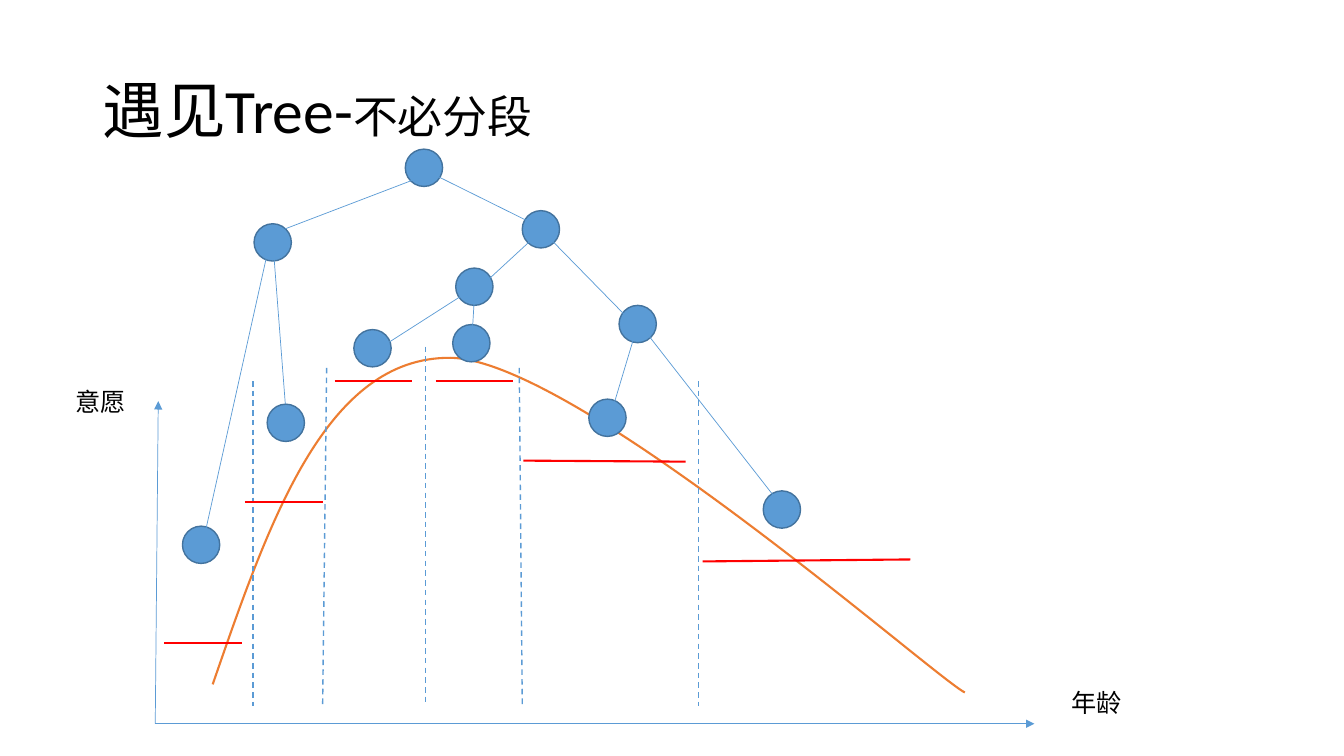
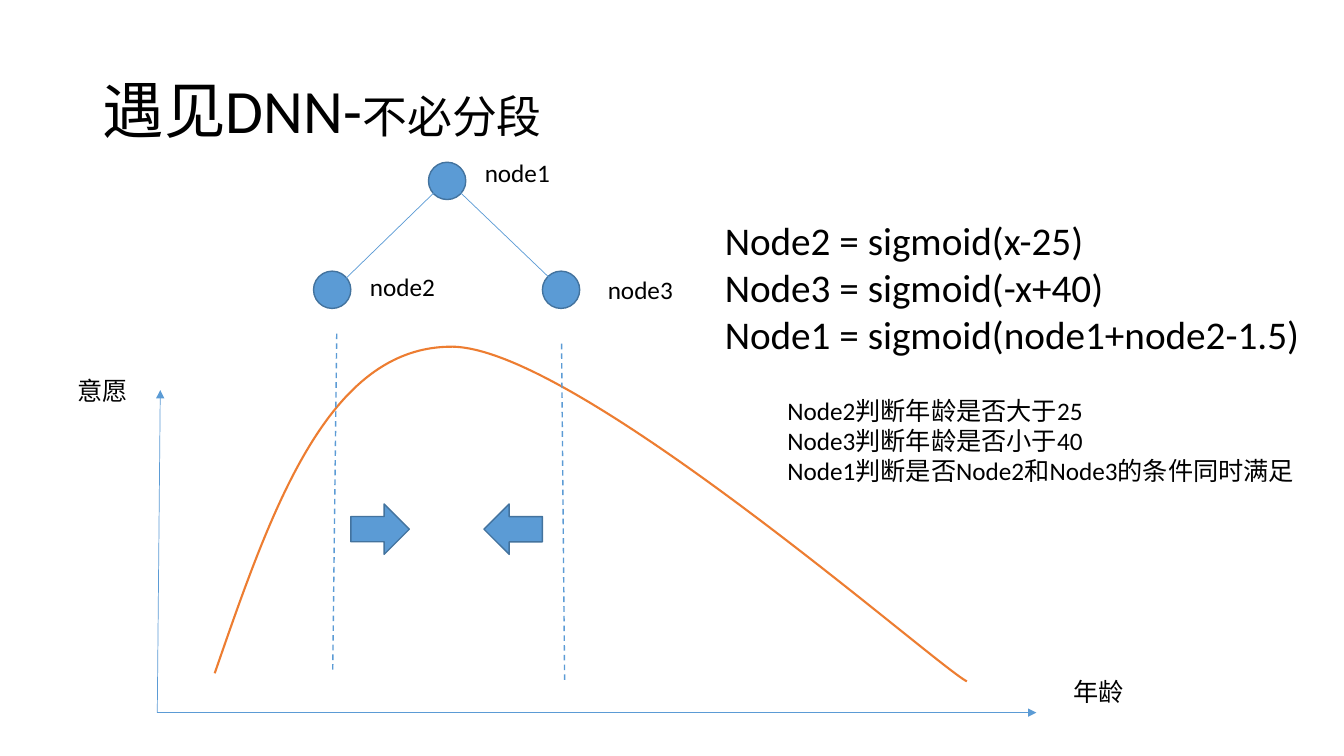
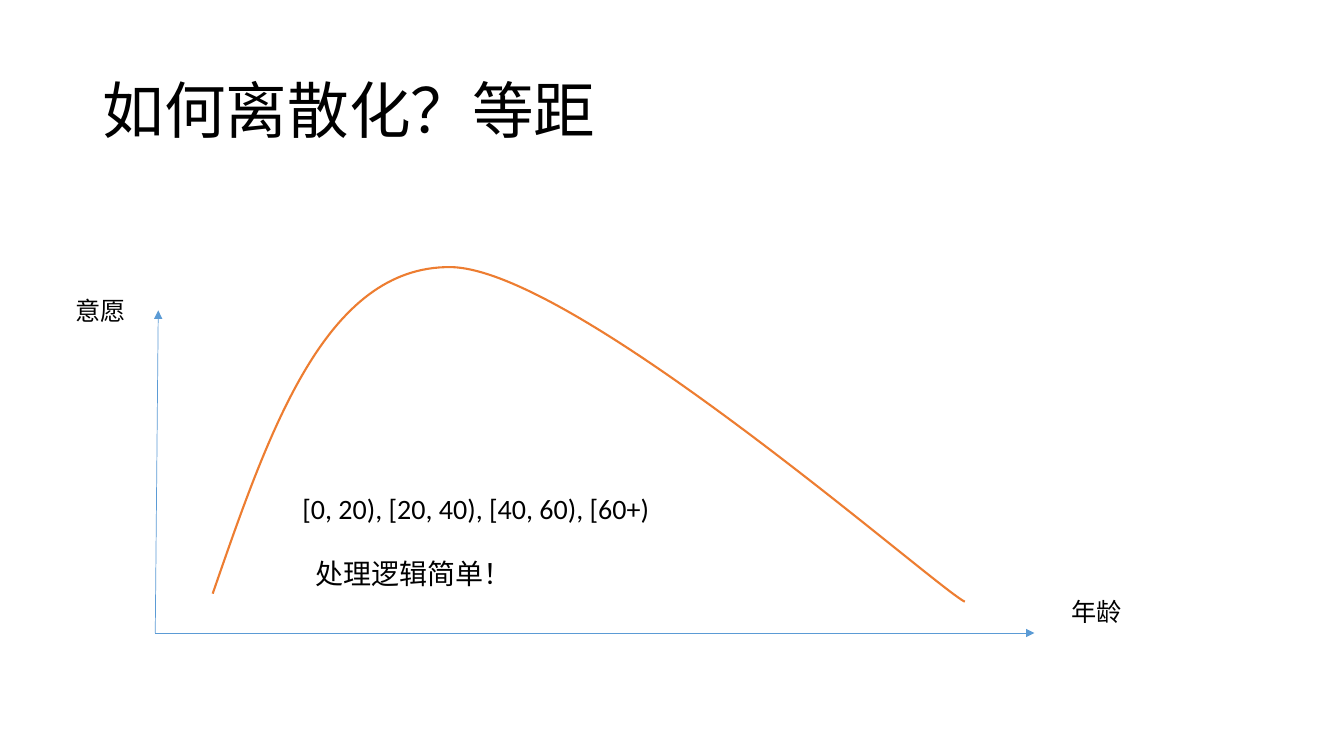
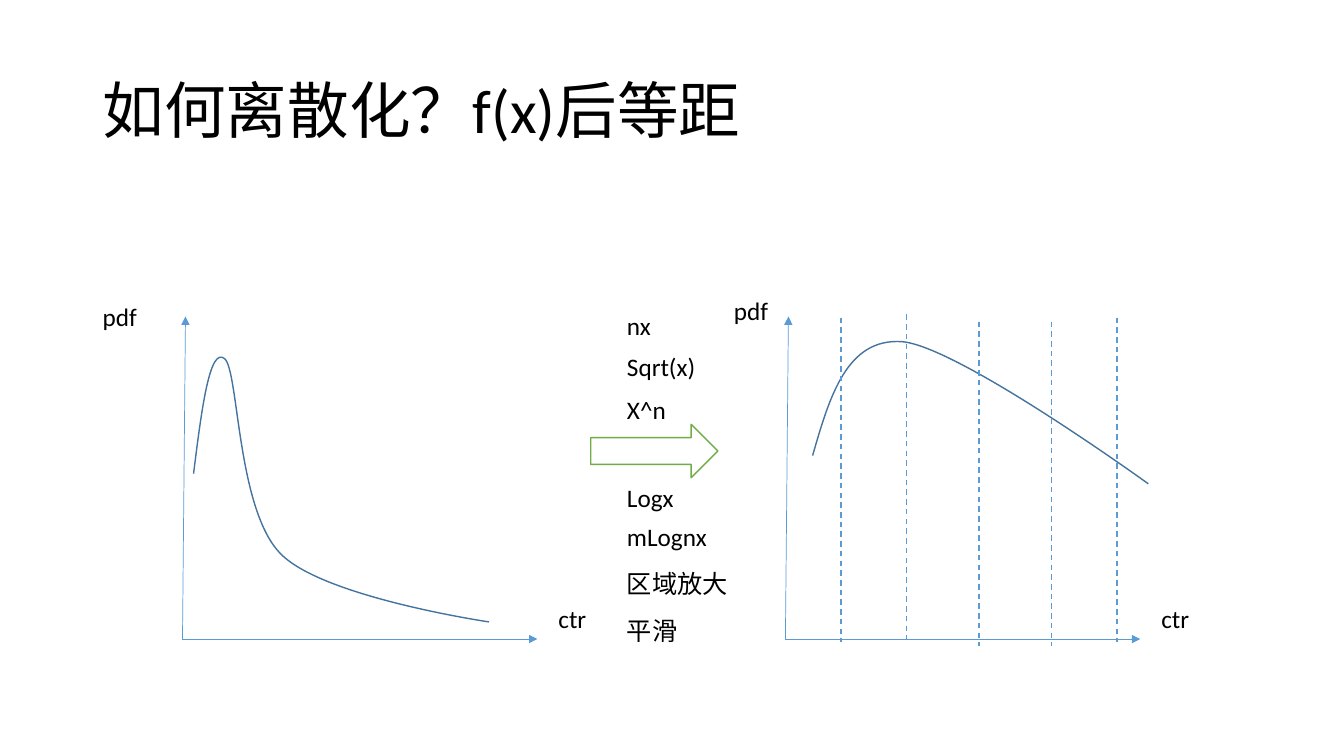
from lxml import etree
from pptx import Presentation
from pptx.dml.color import RGBColor
from pptx.enum.dml import MSO_LINE
from pptx.enum.shapes import MSO_CONNECTOR, MSO_SHAPE
from pptx.enum.text import MSO_ANCHOR
from pptx.oxml.ns import qn
from pptx.util import Inches, Pt

DASH = MSO_LINE.DASH
STRAIGHT = MSO_CONNECTOR.STRAIGHT
OVAL = MSO_SHAPE.OVAL
ARROW = MSO_SHAPE.RIGHT_ARROW
MIDDLE = MSO_ANCHOR.MIDDLE

COLORS = {
    "text": "000000",
    "blue": "5B9BD5",
    "edge": "43739E",
    "curve": "ED7D31",
    "step": "FF0000",
    "green": "70AD47",
    "white": "FFFFFF",
}
FONT = "Calibri"
DOT = 0.37
HILL = [(0.57, -0.39), (1.13, -2.01), (1.69, -3.64), (2.93, -3.63),
        (4.17, -3.61), (7.73, -0.46), (8.03, -0.31)]
PEAK = [(1.92, 4.7), (2, 4.06), (2.08, 3.43), (2.23, 3.56), (2.37, 3.69),
        (2.35, 5.07), (2.79, 5.5), (3.22, 5.93), (4.85, 6.17), (4.85, 6.17)]
FLAT = [(8.06, 4.52), (8.23, 3.93), (8.4, 3.35), (8.95, 3.39),
        (9.51, 3.44), (11.39, 4.8), (11.39, 4.8)]


def color(name):
    return RGBColor.from_string(COLORS[name])


class Deck:
    def __init__(self):
        self.prs = Presentation()
        self.prs.slide_width = Inches(13.33)
        self.prs.slide_height = Inches(7.5)
        self.slide = None

    def page(self, *runs):
        self.slide = self.prs.slides.add_slide(self.prs.slide_layouts[6])
        box = self.slide.shapes.add_textbox(
            Inches(0.92), Inches(0.4), Inches(11.5), Inches(1.45))
        frame = box.text_frame
        frame.word_wrap = True
        frame.vertical_anchor = MIDDLE
        para = frame.paragraphs[0]
        para.line_spacing = 0.9
        for text, size in runs:
            run = para.add_run()
            run.text = text
            self.style(run.font, size)

    def style(self, font, size):
        font.name = FONT
        font.size = Pt(size)
        font.color.rgb = color("text")

    def label(self, x, y, width, text, size=18, wrap=False):
        lines = text.split("\n")
        height = 0.1 + len(lines) * size / 60
        box = self.slide.shapes.add_textbox(
            Inches(x), Inches(y), Inches(width), Inches(height))
        frame = box.text_frame
        frame.text = text
        frame.word_wrap = wrap
        for para in frame.paragraphs:
            for run in para.runs:
                self.style(run.font, size)

    def line(self, x1, y1, x2, y2, name="blue", width=0.5, dash=None, head=False):
        link = self.slide.shapes.add_connector(
            STRAIGHT, Inches(x1), Inches(y1), Inches(x2), Inches(y2))
        link.line.color.rgb = color(name)
        link.line.width = Pt(width)
        if dash:
            link.line.dash_style = dash
        props = link._element.spPr
        if head:
            tip = etree.SubElement(props.find(qn("a:ln")), qn("a:tailEnd"))
            tip.set("type", "triangle")
        etree.SubElement(props, qn("a:effectLst"))

    def split(self, *ends):
        self.line(*ends, width=1, dash=DASH)

    def shape(self, kind, x, y, width, height, fill="blue", edge="edge", turn=0):
        item = self.slide.shapes.add_shape(
            kind, Inches(x), Inches(y), Inches(width), Inches(height))
        item.shadow.inherit = False
        item.fill.solid()
        item.fill.fore_color.rgb = color(fill)
        item.line.color.rgb = color(edge)
        item.line.width = Pt(1)
        item.rotation = turn

    def tree(self, nodes, links):
        for x, y in nodes:
            self.shape(OVAL, x, y, DOT, DOT)
        for ends in links:
            self.line(*ends)

    def curve(self, knots, name, width):
        points = [(Inches(x), Inches(y)) for x, y in knots]
        form = self.slide.shapes.build_freeform(*points[0])
        form.add_line_segments(points[1:], close=False)
        item = form.convert_to_shape()
        item.shadow.inherit = False
        item.fill.background()
        item.line.color.rgb = color(name)
        item.line.width = Pt(width)
        parts = list(item._element.iter(qn("a:lnTo")))
        for i in range(0, len(parts), 3):
            bend, *rest = parts[i:i + 3]
            bend.tag = qn("a:cubicBezTo")
            for part in rest:
                bend.append(part[0])
                part.getparent().remove(part)

    def axes(self, x, y, width):
        self.line(x, y, x + width, y, head=True)
        self.line(x, y, x + 0.03, y - 3.2, head=True)

    def hill(self, x, y):
        self.curve([(x + dx, y + dy) for dx, dy in HILL], "curve", 1.5)
        self.axes(x, y, 8.72)
        self.label(x - 0.89, y - 3.4, 0.71, "意愿")
        self.label(x + 8.99, y - 0.41, 0.71, "年龄")

    def density(self, x, y, knots, left, top):
        self.axes(x, y, 3.52)
        self.label(left, top, 0.55, "pdf")
        self.label(x + 3.63, y - 0.4, 0.48, "ctr")
        self.curve(knots, "edge", 1)


def tree_page(deck):
    deck.page(("遇见Tree-", 44), ("不必分段", 32))
    deck.hill(1.54, 7.18)
    for ends in [(3.24, 3.65, 3.2, 7), (5.15, 3.65, 5.18, 7),
                 (2.51, 3.78, 2.51, 7), (4.22, 3.44, 4.22, 6.98),
                 (6.93, 3.78, 6.93, 7)]:
        deck.split(*ends)
    for ends in [(1.63, 6.38, 2.4, 6.38), (2.43, 4.98, 3.2, 4.98),
                 (3.32, 3.78, 4.09, 3.78), (4.32, 3.78, 5.09, 3.78),
                 (5.19, 4.57, 6.8, 4.58), (6.97, 5.57, 9.03, 5.55)]:
        deck.line(*ends, "step", 1.5)
    deck.tree(
        [(4.02, 1.48), (2.52, 2.22), (5.18, 2.09), (6.14, 3.03),
         (1.81, 5.22), (2.65, 4.01), (4.52, 2.66), (3.51, 3.27),
         (4.49, 3.22), (5.84, 3.96), (7.57, 4.87)],
        [(4.19, 1.75, 2.83, 2.27), (2.67, 2.43, 2, 5.44),
         (2.71, 2.45, 2.83, 4.01), (4.22, 1.69, 5.39, 2.27),
         (5.39, 2.27, 4.75, 2.86), (4.71, 2.85, 3.57, 3.58),
         (4.71, 2.87, 4.68, 3.37), (5.36, 2.27, 6.32, 3.25),
         (6.32, 3.24, 6.05, 4.14), (6.34, 3.21, 7.76, 5.03)])


def net_page(deck):
    deck.page(("遇见DNN-", 44), ("不必分段", 32))
    deck.hill(1.56, 7.07)
    deck.split(3.34, 3.31, 3.3, 6.66)
    deck.split(5.57, 3.41, 5.6, 6.76)
    deck.tree([(3.11, 2.69), (5.38, 2.69), (4.25, 1.61)],
              [(4.43, 1.79, 3.34, 2.85), (4.43, 1.78, 5.6, 2.9)])
    for name, x, y in [("node1", 4.71, 1.51), ("node2", 3.57, 2.64),
                       ("node3", 5.93, 2.67)]:
        deck.label(x, y, 0.86, name)
    deck.label(7.09, 2.1, 5.97,
               "Node2 = sigmoid(x-25)\nNode3 = sigmoid(-x+40)\n"
               "Node1 = sigmoid(node1+node2-1.5)", 28)
    deck.label(7.71, 3.87, 5.62,
               "Node2判断年龄是否大于25\nNode3判断年龄是否小于40\n"
               "Node1判断是否Node2和Node3的条件同时满足", wrap=True)
    for x, turn in [(3.48, 0), (4.8, 180)]:
        deck.shape(ARROW, x, 5, 0.58, 0.5, turn=turn)


def equal_page(deck):
    deck.page(("如何离散化？等距", 44))
    deck.hill(1.54, 6.28)
    deck.label(2.9, 4.83, 3.67, "[0, 20), [20, 40), [40, 60), [60+)", 20)
    deck.label(3.03, 5.47, 2.17, "处理逻辑简单！", 20)


def scale_page(deck):
    deck.page(("如何离散化？f(x)后等距", 44))
    deck.density(1.81, 6.34, PEAK, 0.92, 2.94)
    deck.density(7.79, 6.34, FLAT, 7.18, 2.88)
    deck.shape(ARROW, 5.86, 4.21, 1.26, 0.53, "white", "green")
    for y, width, text in [(3.03, 0.44, "nx"), (3.44, 0.89, "Sqrt(x)"),
                           (3.86, 0.59, "X^n"), (4.74, 0.67, "Logx"),
                           (5.12, 1, "mLognx"), (5.59, 1.21, "区域放大"),
                           (6.06, 0.71, "平滑")]:
        deck.label(6.12, y, width, text)
    for x, y in [(8.34, 3.15), (8.99, 3.12), (9.71, 3.19), (10.43, 3.19),
                 (11.08, 3.15)]:
        deck.split(x, y, x, y + 3.22)


def main():
    deck = Deck()
    for build in (tree_page, net_page, equal_page, scale_page):
        build(deck)
    deck.prs.save("out.pptx")


if __name__ == "__main__":
    main()
